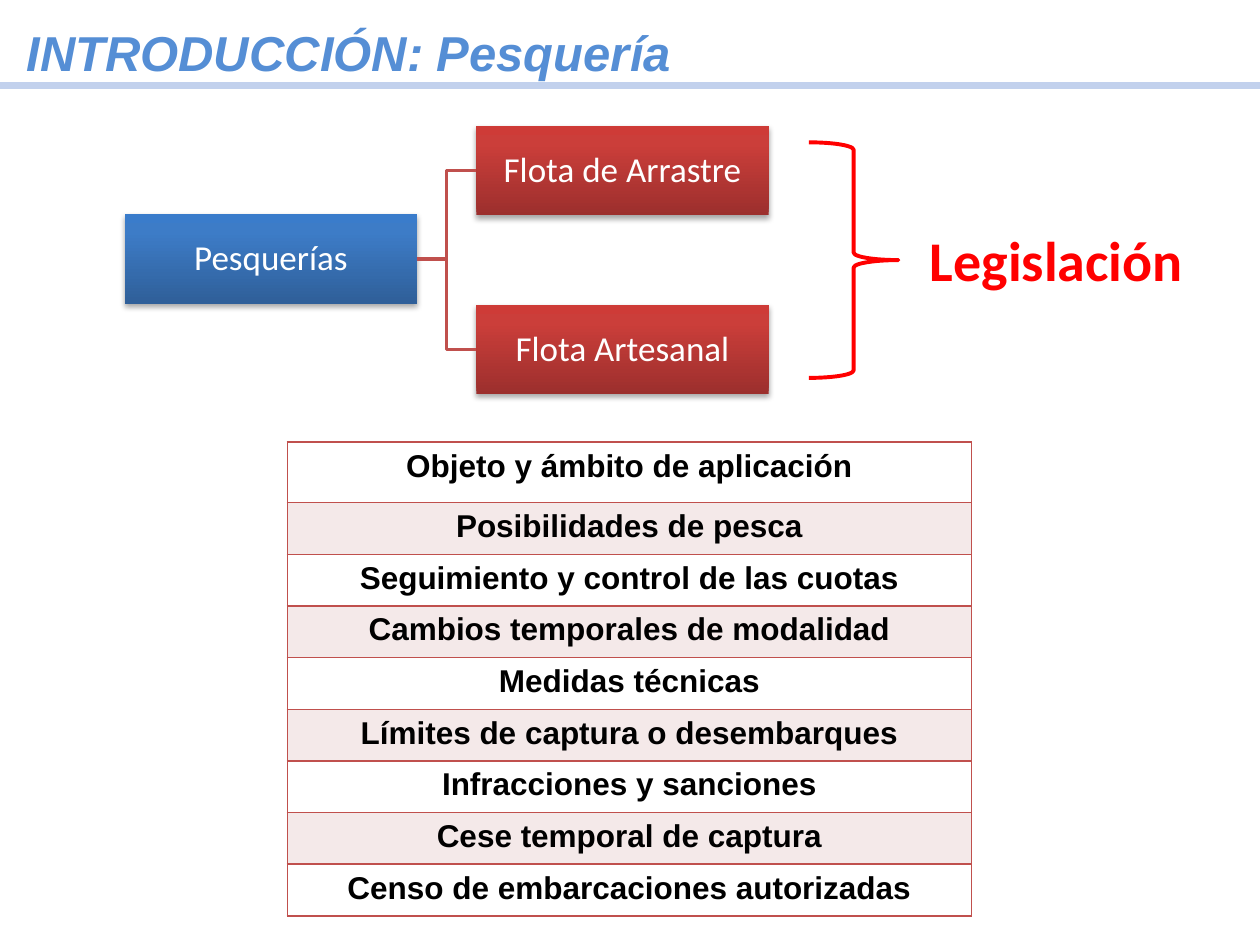
import copy
import pptx
import pptx.util
import pptx.dml.color
import pptx.enum.shapes
import pptx.enum.text
import pptx.oxml
import pptx.oxml.ns
from pptx.util import Inches

RGB = pptx.dml.color.RGBColor
SKY = RGB(0x55, 0x8E, 0xD5)
PALE = RGB(0xC2, 0xD1, 0xED)
BRICK = RGB(0xC0, 0x50, 0x4D)
RED = RGB(0xFF, 0x00, 0x00)
ROSE = RGB(0xF4, 0xE9, 0xE9)
WHITE = RGB(0xFF, 0xFF, 0xFF)
BLACK = RGB(0x00, 0x00, 0x00)
BLUES = [RGB(0x2F, 0x5F, 0x99), RGB(0x3D, 0x7C, 0xC7), RGB(0x3A, 0x7C, 0xCB)]
REDS = [RGB(0x9C, 0x2F, 0x2D), RGB(0xCB, 0x3E, 0x3A), RGB(0xCE, 0x3B, 0x37)]

KIND = pptx.enum.shapes.MSO_SHAPE
LINK = pptx.enum.shapes.MSO_CONNECTOR
ALIGN = pptx.enum.text.PP_ALIGN
ANCHOR = pptx.enum.text.MSO_ANCHOR
NS = pptx.oxml.ns.nsdecls("a")
qn = pptx.oxml.ns.qn


def write(frame, text, face, size, color, bold=False, align=ALIGN.CENTER):
    frame.text = text
    par = frame.paragraphs[0]
    par.alignment = align
    font = par.runs[0].font
    font.name, font.size, font.bold = face, pptx.util.Pt(size), bold
    font.color.rgb = color
    return par


def link(kind, ends, color, width):
    line = slide.shapes.add_connector(kind, *[Inches(n) for n in ends])
    line.line.color.rgb = color
    line.line.width = pptx.util.Pt(width)
    line._element.spPr.append(pptx.oxml.parse_xml(f"<a:effectLst {NS}/>"))
    return line


deck = pptx.Presentation()
deck.slide_width, deck.slide_height = Inches(10), Inches(7.5)
slide = deck.slides.add_slide(deck.slide_layouts[5])

# Title and the rule below it
link(LINK.STRAIGHT, (0, 0.68, 10, 0.68), PALE, 4.25)
title = slide.shapes.title
title.left, title.top = Inches(0.11), Inches(0.13)
title.width, title.height = Inches(8.77), Inches(0.57)
title.text_frame.auto_size = pptx.enum.text.MSO_AUTO_SIZE.NONE
title.text_frame.vertical_anchor = ANCHOR.TOP
par = write(title.text_frame, "INTRODUCCIÓN: Pesquería", "Arial", 28, SKY,
            True, ALIGN.JUSTIFY)
par.runs[0].font.italic = True

# Fishery tree: gradient boxes with a soft shadow
nodes = []
for text, left, top, tones in [
    ("Pesquerías", 0.99, 1.7, BLUES),
    ("Flota de Arrastre", 3.78, 1, REDS),
    ("Flota Artesanal", 3.78, 2.42, REDS),
]:
    box = slide.shapes.add_shape(KIND.RECTANGLE, Inches(left), Inches(top),
                                 Inches(2.32), Inches(0.71))
    box.line.fill.background()
    box.fill.gradient()
    box.fill.gradient_angle = 90
    stops = box._element.spPr.find(qn("a:gradFill")).find(qn("a:gsLst"))
    stops.append(copy.deepcopy(stops[-1]))
    for stop, spot, tone in zip(box.fill.gradient_stops, (0, 0.8, 1), tones):
        stop.position = spot
        stop.color.rgb = tone
    box.shadow.inherit = False
    box._element.spPr.find(qn("a:effectLst")).append(pptx.oxml.parse_xml(
        f'<a:outerShdw {NS} blurRad="40000" dist="23000" dir="5400000" '
        'rotWithShape="0"><a:srgbClr val="000000"><a:alpha val="35000"/>'
        '</a:srgbClr></a:outerShdw>'))
    frame = box.text_frame
    frame.word_wrap = True
    frame.vertical_anchor = ANCHOR.MIDDLE
    frame.margin_left = frame.margin_right = Inches(0.01)
    frame.margin_top = frame.margin_bottom = Inches(0.01)
    write(frame, text, "Calibri", 20, WHITE).line_spacing = 0.9
    nodes.append(box)

# Branches from the root to each fleet
root, *fleets = nodes
for fleet in fleets:
    branch = link(LINK.ELBOW, (3.32, 2.06, 3.78, 2.77), BRICK, 2)
    branch.begin_connect(root, 3)
    branch.end_connect(fleet, 1)

# Brace and its label
brace = slide.shapes.add_shape(KIND.RIGHT_BRACE, Inches(6.42), Inches(1.13),
                               Inches(0.71), Inches(1.87))
brace.shadow.inherit = False
brace.fill.background()
brace.line.color.rgb = RED
brace.line.width = pptx.util.Pt(2.25)
label = slide.shapes.add_textbox(Inches(6.66), Inches(1.74),
                                 Inches(3.45), Inches(0.64))
label.text_frame.word_wrap = True
write(label.text_frame, "Legislación", "Calibri", 32, RED, True)

# Table of legislation topics
topics = [
    "Objeto y ámbito de aplicación",
    "Posibilidades de pesca",
    "Seguimiento y control de las cuotas",
    "Cambios temporales de modalidad",
    "Medidas técnicas",
    "Límites de captura o desembarques",
    "Infracciones y sanciones",
    "Cese temporal de captura",
    "Censo de embarcaciones autorizadas",
]
table = slide.shapes.add_table(len(topics), 1, Inches(2.28), Inches(3.51),
                               Inches(5.43), Inches(3.73)).table
for i, topic in enumerate(topics):
    table.rows[i].height = Inches(0.41 if i else 0.48)
    cell = table.cell(i, 0)
    write(cell.text_frame, topic, "Arial", 18, BLACK, True)
    props = cell._tc.get_or_add_tcPr()
    for side in ("lnL", "lnR", "lnT", "lnB"):
        props.append(pptx.oxml.parse_xml(
            f'<a:{side} {NS} w="12700"><a:solidFill><a:srgbClr val="{BRICK}"/>'
            f'</a:solidFill></a:{side}>'))
    cell.fill.solid()
    cell.fill.fore_color.rgb = ROSE if i % 2 else WHITE

deck.save("out.pptx")
